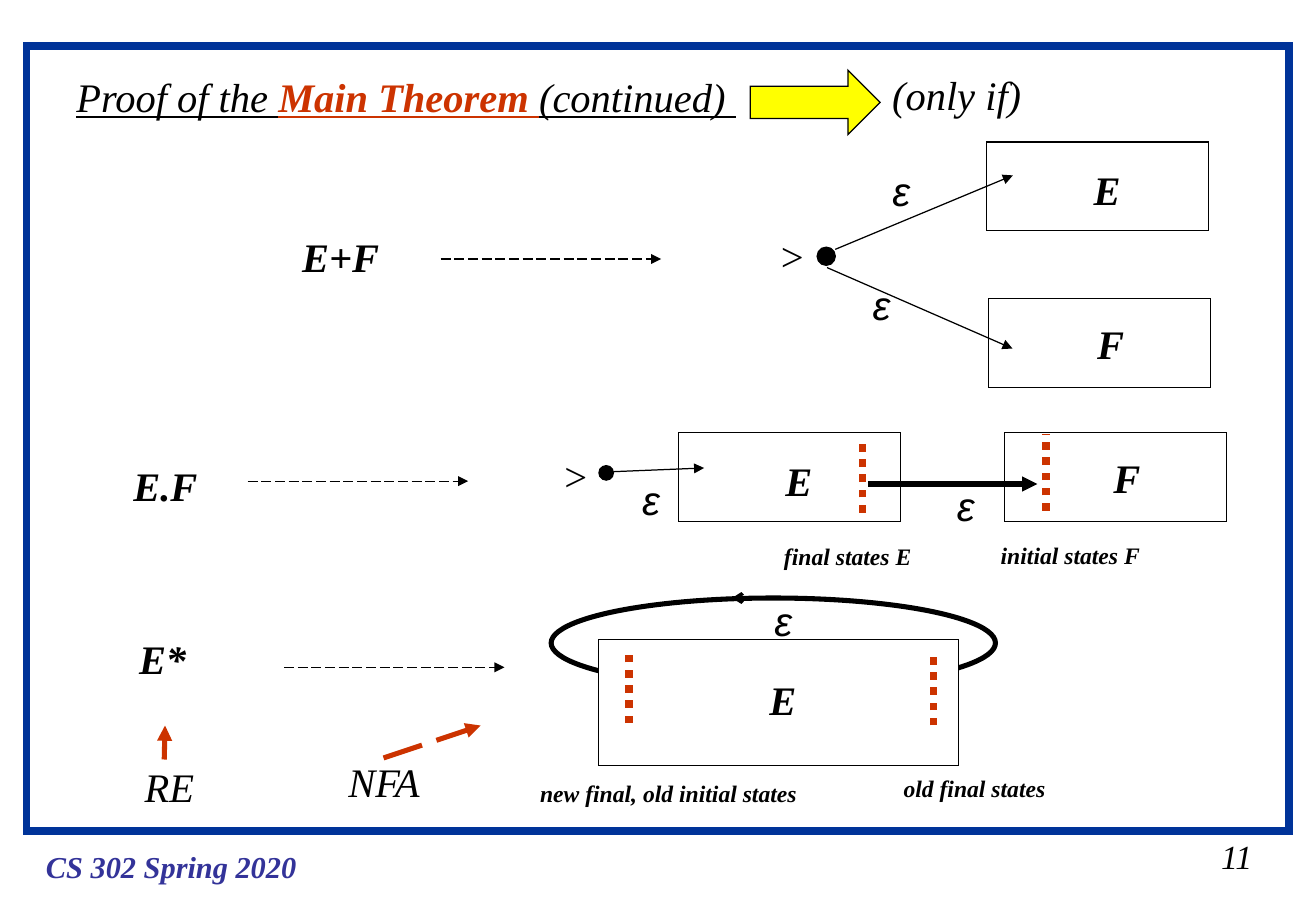
from dataclasses import dataclass
from lxml.etree import SubElement
from pptx import Presentation
from pptx.dml.color import RGBColor as Rgb
from pptx.enum.dml import MSO_LINE as Dash
from pptx.enum.shapes import MSO_CONNECTOR as Link, MSO_SHAPE as Preset
from pptx.enum.text import MSO_AUTO_SIZE as Fit
from pptx.oxml.ns import qn
from pptx.util import Pt


@dataclass(frozen=True)
class Theme:
    ink: str = "000000"
    accent: str = "CC3300"
    frame: str = "003399"
    footer: str = "333399"
    highlight: str = "FFFF00"
    paper: str = "FFFFFF"
    serif: str = "Times New Roman"
    sans: str = "Arial"
    body: int = 24
    number: int = 20
    course: int = 18
    note: int = 14
    thin: float = 0.75
    medium: float = 2
    thick: float = 3
    heavy: float = 4.5


class Board:
    def __init__(self, slide, theme):
        self.slide = slide
        self.theme = theme

    def shape(self, preset, left, top, width, height, fill=None, line=None, weight=None):
        item = self.slide.shapes.add_shape(preset, Pt(left), Pt(top), Pt(width), Pt(height))
        item.shadow.inherit = False
        if fill:
            item.fill.solid()
            item.fill.fore_color.rgb = Rgb.from_string(fill)
        else:
            item.fill.background()
        item.line.color.rgb = Rgb.from_string(line or self.theme.ink)
        item.line.width = Pt(weight or self.theme.thin)
        SubElement(item.line._get_or_add_ln(), qn("a:miter"), lim="800000")

    def state(self, left, top, size):
        self.shape(Preset.OVAL, left, top, size, size, self.theme.ink)

    def line(self, start, end, color=None, weight=None, dash=None, head="triangle"):
        item = self.slide.shapes.add_connector(
            Link.STRAIGHT, *(Pt(value) for value in (*start, *end)))
        item.line.color.rgb = Rgb.from_string(color or self.theme.ink)
        item.line.width = Pt(weight or self.theme.thin)
        if dash:
            item.line.dash_style = dash
        if head:
            SubElement(item.line._get_or_add_ln(), qn("a:tailEnd"), type=head)
        SubElement(item._element.spPr, qn("a:effectLst"))

    def state_set(self, x, bottom, top):
        self.line((x, bottom), (x, top), self.theme.accent, self.theme.heavy,
                  Dash.ROUND_DOT, None)

    def text(self, runs, left, top, width, size=None, font=None, underline=False):
        size = size or self.theme.body
        box = self.slide.shapes.add_textbox(
            Pt(left), Pt(top), Pt(width), Pt(size * 1.2 + 7.2))
        frame = box.text_frame
        frame.word_wrap = False
        frame.auto_size = Fit.SHAPE_TO_FIT_TEXT
        for words, color, bold in runs:
            run = frame.paragraphs[0].add_run()
            run.text = words
            run.font.name = font or self.theme.serif
            run.font.size = Pt(size)
            run.font.bold = bold
            run.font.italic = True
            run.font.underline = underline
            run.font.color.rgb = Rgb.from_string(color)

    def label(self, words, left, top, width, bold=False, size=None, font=None):
        self.text([(words, self.theme.ink, bold)], left, top, width, size, font)


def main():
    theme = Theme()
    deck = Presentation()
    deck.slide_width, deck.slide_height = Pt(780.48), Pt(540)
    deck.element.sldSz.attrib.pop("type", None)
    board = Board(deck.slides.add_slide(deck.slide_layouts[6]), theme)

    board.shape(Preset.RECTANGLE, 15.8, 27.4, 748.8, 465.1, None, theme.frame, theme.heavy)
    board.text([("CS 302 Spring 2020", theme.footer, True)], 20.2, 499, 164, theme.course)
    board.label("11", 717.1, 491.9, 36, size=theme.number)
    board.text([("Proof of the ", theme.ink, False),
                ("Main Theorem ", theme.accent, True),
                ("(continued) ", theme.ink, False)], 38.2, 39.2, 407, underline=True)
    board.shape(Preset.RIGHT_ARROW, 445, 41.6, 77, 38.2, theme.highlight)
    board.label("(only if)", 522, 38.2, 93)

    for expression, left, top, width in (
            ("E+F", 172.1, 133.9, 65), ("E.F", 72, 269.6, 54), ("E*", 75.4, 372.5, 44)):
        board.label(expression, left, top, width, True)
    for x, y in ((261.4, 153.5), (146.9, 285.2), (168.5, 395.6)):
        board.line((x, y), (x + 130.7, y), dash=Dash.LONG_DASH)

    for start, end in (((97.4, 450.2), (97.9, 430.1)), ((227.5, 449.3), (285.1, 430.1))):
        board.line(start, end, theme.accent, theme.thick, Dash.LONG_DASH)
    board.label("RE", 78.7, 448.2, 46)
    board.label("NFA", 199.5, 445.1, 62)

    board.shape(Preset.OVAL, 326.9, 354.5, 263.5, 53.3, weight=theme.thick)
    board.line((452.9, 354.5), (434.2, 354.5), weight=theme.medium, head="arrow")
    board.shape(Preset.RECTANGLE, 355, 379, 213.6, 74.8, theme.paper)
    for left, top in ((584.9, 84.2), (586.1, 177.1), (402.5, 256.5), (595.7, 256.5)):
        board.shape(Preset.RECTANGLE, left, top, 131.8, 52.6)
    for automaton, left, top in (
            ("E", 641.5, 94.3), ("F", 643.7, 185.8), ("E", 458.8, 266.5),
            ("F", 653.3, 265.3), ("E", 449.3, 396.3)):
        board.label(automaton, left, top, 31, True)

    for left, top, size in ((484.6, 146.5, 10.8), (355.2, 276, 8.6)):
        board.state(left, top, size)
    for left, top in ((454.6, 133.5), (326.2, 263.8)):
        board.label(">", left, top, 31)
    for start, end in (((495.4, 147.8), (600.7, 104)), ((490.5, 158.6), (600.5, 206.6)),
                       ((363.8, 279.6), (417.6, 277.4))):
        board.line(start, end)
    board.line((515, 286.9), (615.2, 286.9), weight=theme.thick)
    for x, bottom, top in ((511.5, 303.8, 262.1), (620.2, 302.7, 257.3),
                           (373, 428.7, 386.9), (553.7, 430, 388.3)):
        board.state_set(x, bottom, top)
    for left, top in ((522.2, 95), (510.5, 162.3), (373.7, 278.2), (560.4, 281.8), (452.2, 349.5)):
        board.label("ε", left, top, 26, font=theme.sans)

    for note, left, top, width in (
            ("final states E", 457.9, 317.8, 92),
            ("initial states F", 586.4, 317.1, 99),
            ("new final, old initial states", 313.2, 458.2, 171),
            ("old final states", 528.8, 455.3, 100)):
        board.label(note, left, top, width, True, theme.note)

    deck.save("out.pptx")


if __name__ == "__main__":
    main()
